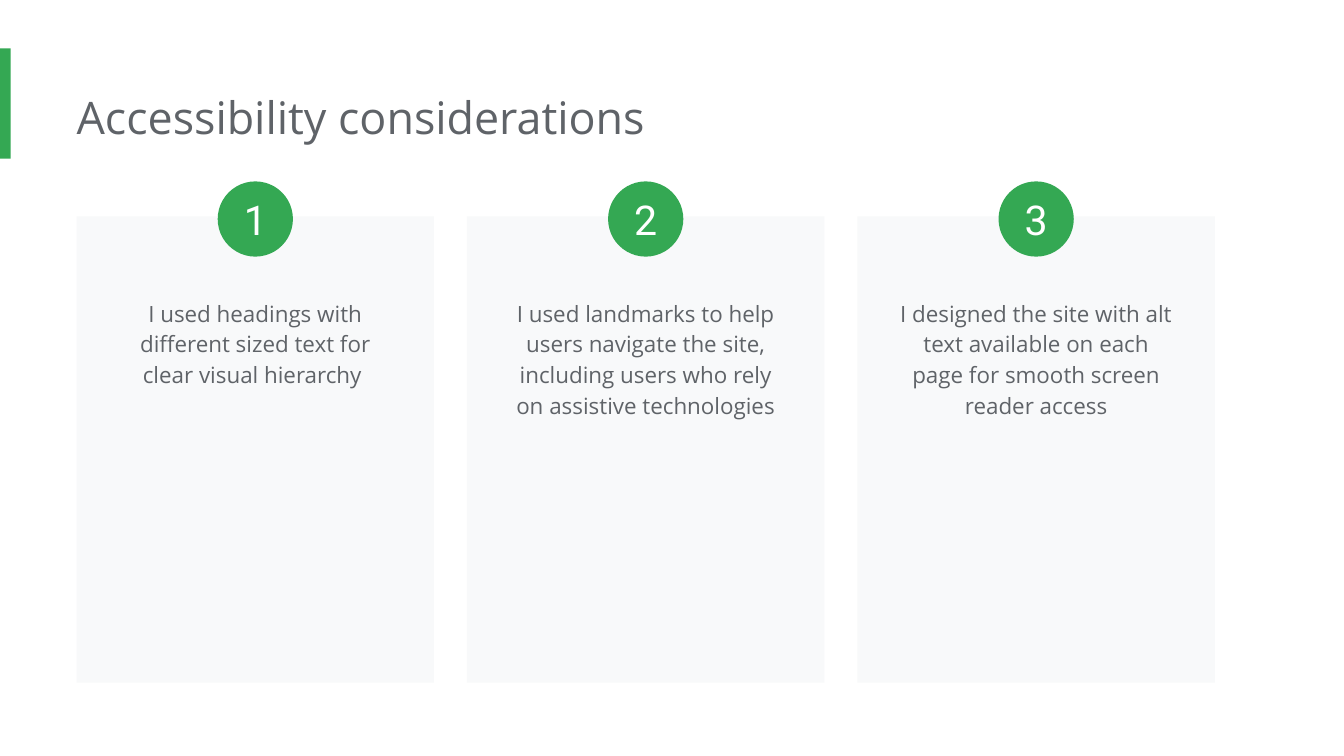
"""Build the accessibility considerations slide with three numbered cards."""
from dataclasses import dataclass

from pptx import Presentation
from pptx.dml.color import RGBColor
from pptx.enum.shapes import MSO_SHAPE as Preset
from pptx.enum.text import MSO_ANCHOR as Anchor, MSO_AUTO_SIZE as AutoSize, PP_ALIGN as Align
from pptx.shapes.autoshape import Shape
from pptx.slide import Slide
from pptx.util import Inches, Pt

GREEN = RGBColor(0x34, 0xA8, 0x53)
GREY = RGBColor(0x5F, 0x63, 0x68)
PALE = RGBColor(0xF8, 0xF9, 0xFA)
WHITE = RGBColor(0xFF, 0xFF, 0xFF)

SLIDE_WIDTH = 10
SLIDE_HEIGHT = SLIDE_WIDTH * 9 / 16
CARD_LEFT, CARD_TOP, CARD_WIDTH, CARD_HEIGHT = 0.57, 1.61, 2.66, 3.47
LAST_CARD_LEFT = 6.38
BADGE_TOP, BADGE_SIZE = 1.35, 0.56
BODY_TOP, BODY_WIDTH = 2.1, 2.24


@dataclass(frozen=True)
class Consideration:
    number: int
    statement: str
    body_height: float


CONSIDERATIONS = [
    Consideration(1, "I used headings with different sized text for clear visual hierarchy ", 0.87),
    Consideration(2, "I used landmarks to help users navigate the site, including users who "
                     "rely on assistive technologies", 1.33),
    Consideration(3, "I designed the site with alt text available on each page for smooth "
                     "screen reader access", 1.1),
]


def write(shape: Shape, text: str, *, size: float, font: str = "Open Sans",
          color: RGBColor = GREY, align: Align = Align.CENTER, anchor: Anchor = Anchor.TOP,
          spacing: float = 1.0, insets: tuple = (0.1, 0.1, 0.1, 0.1)) -> None:
    frame = shape.text_frame
    frame.word_wrap = True
    frame.auto_size = AutoSize.NONE
    frame.vertical_anchor = anchor
    frame.margin_left, frame.margin_top, frame.margin_right, frame.margin_bottom = map(Inches, insets)
    paragraph = frame.paragraphs[0]
    paragraph.alignment = align
    paragraph.line_spacing = spacing
    run = paragraph.add_run()
    run.text = text
    run.font.size = Pt(size)
    run.font.name = font
    run.font.color.rgb = color


def add_block(slide: Slide, preset: Preset, left: float, top: float,
              width: float, height: float, fill: RGBColor) -> Shape:
    block = slide.shapes.add_shape(preset, Inches(left), Inches(top), Inches(width), Inches(height))
    block.shadow.inherit = False
    block.fill.solid()
    block.fill.fore_color.rgb = fill
    block.line.fill.background()
    return block


def add_card(slide: Slide, left: float, item: Consideration) -> None:
    add_block(slide, Preset.RECTANGLE, left, CARD_TOP, CARD_WIDTH, CARD_HEIGHT, PALE)
    body_left = left + (CARD_WIDTH - BODY_WIDTH) / 2
    body = slide.shapes.add_textbox(Inches(body_left), Inches(BODY_TOP),
                                    Inches(BODY_WIDTH), Inches(item.body_height))
    write(body, item.statement, size=12, spacing=1.15)
    badge_left = left + (CARD_WIDTH - BADGE_SIZE) / 2
    badge = add_block(slide, Preset.OVAL, badge_left, BADGE_TOP, BADGE_SIZE, BADGE_SIZE, GREEN)
    write(badge, str(item.number), size=22, font="Roboto", color=WHITE,
          anchor=Anchor.MIDDLE, insets=(0, 0, 0, 0))


def main() -> None:
    deck = Presentation()
    deck.slide_width, deck.slide_height = Inches(SLIDE_WIDTH), Inches(SLIDE_HEIGHT)
    slide = deck.slides.add_slide(deck.slide_layouts[5])
    title = slide.shapes.title
    title.left, title.top, title.width, title.height = map(Inches, (0.57, 0.57, 7.66, 0.61))
    write(title, "Accessibility considerations", size=24, align=Align.LEFT, insets=(0, 0.1, 0.1, 0.1))
    add_block(slide, Preset.RECTANGLE, 0, 0.36, 0.08, 0.82, GREEN)
    pitch = (LAST_CARD_LEFT - CARD_LEFT) / (len(CONSIDERATIONS) - 1)
    for column, item in enumerate(CONSIDERATIONS):
        add_card(slide, CARD_LEFT + column * pitch, item)
    deck.save("out.pptx")


if __name__ == "__main__":
    main()
